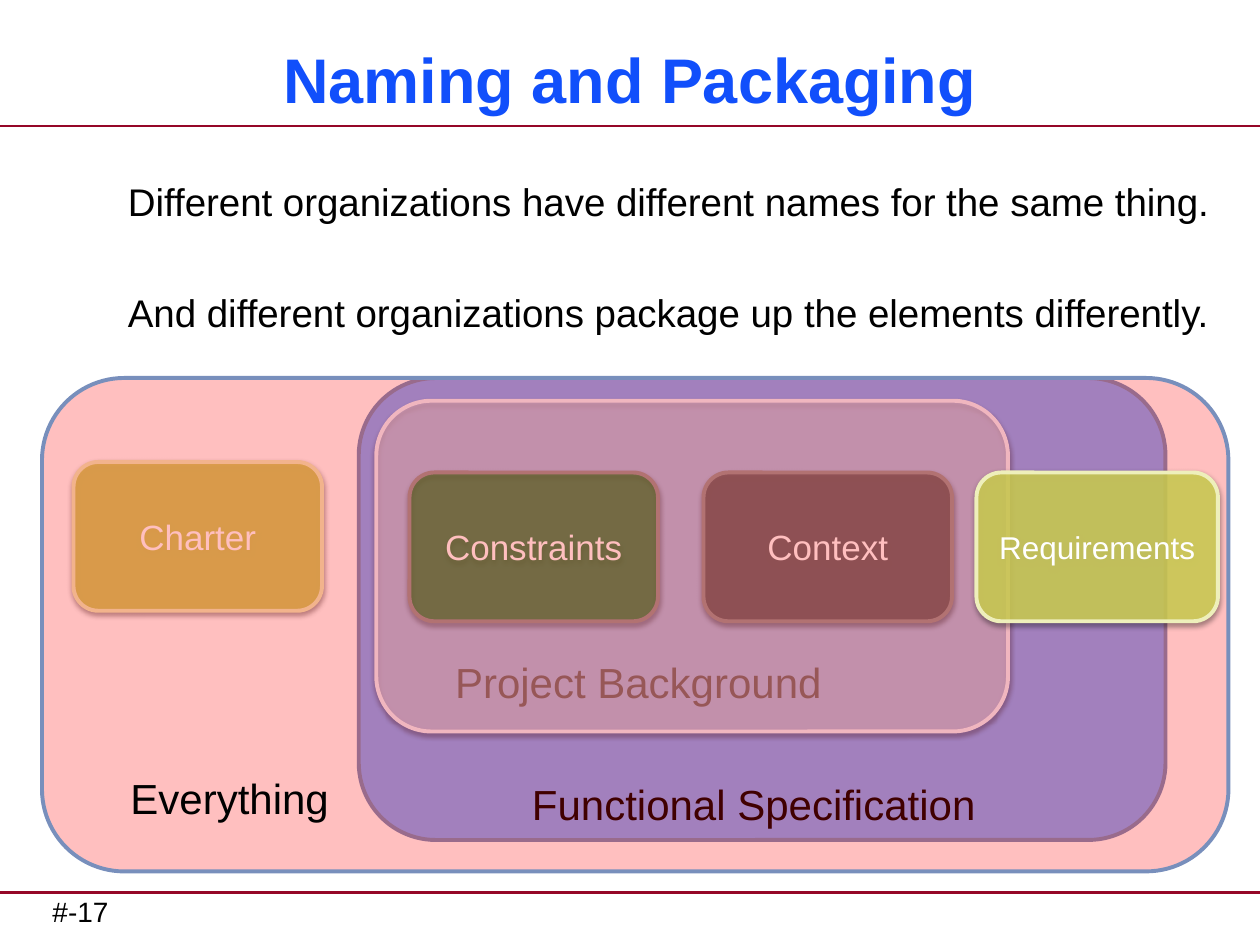
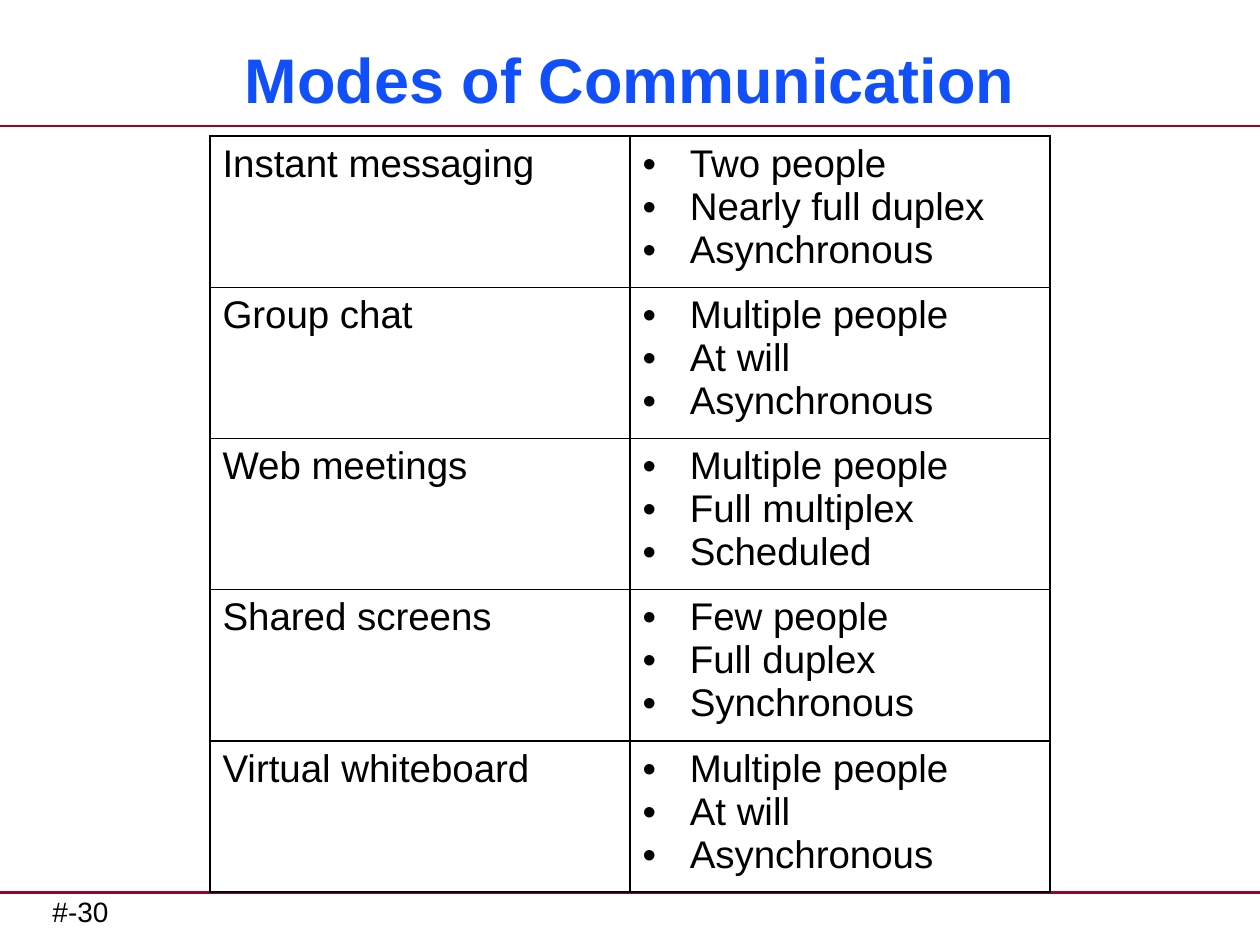
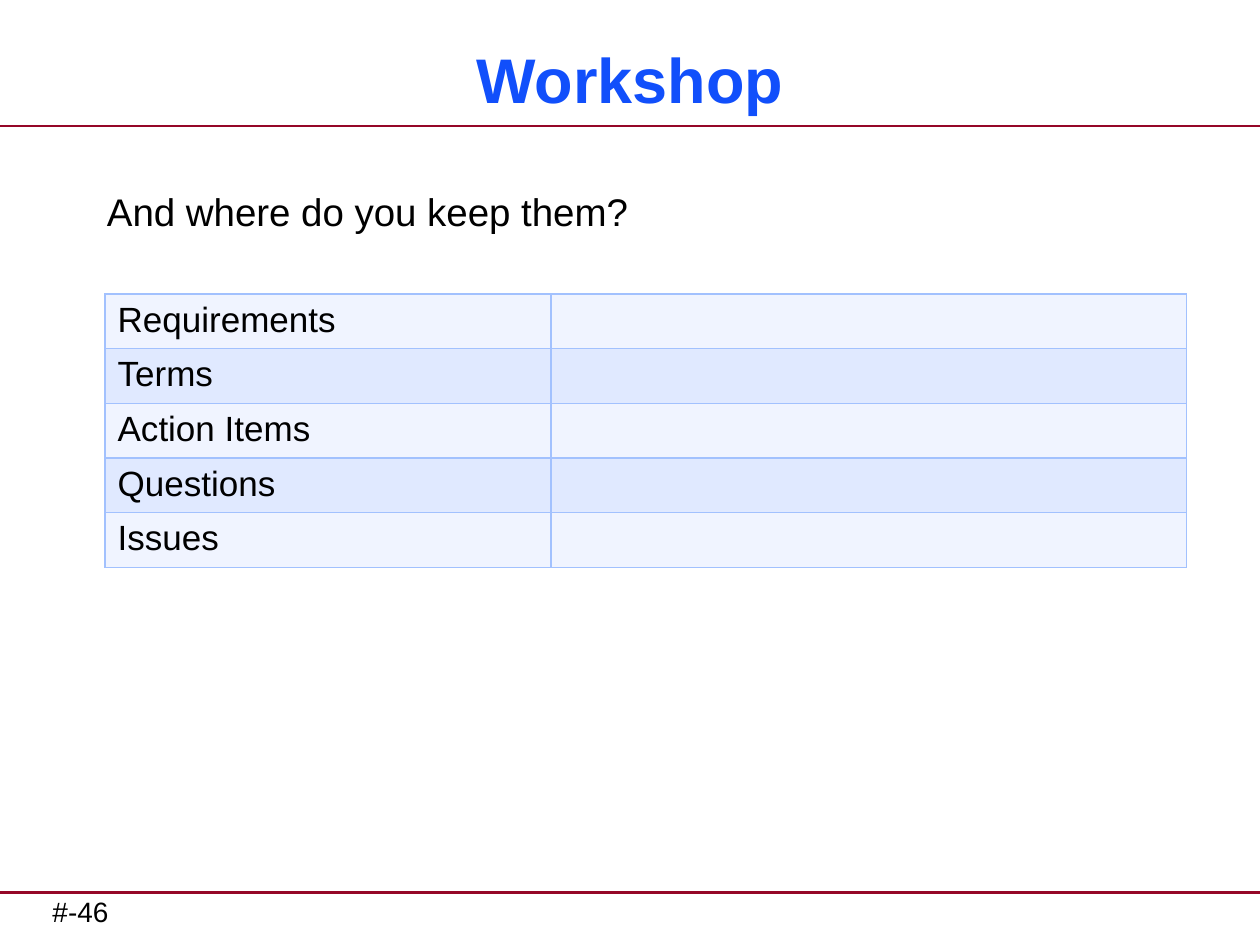
from lxml.etree import SubElement
from pptx import Presentation
from pptx.dml.color import RGBColor
from pptx.enum.shapes import MSO_CONNECTOR, MSO_SHAPE
from pptx.enum.text import MSO_ANCHOR, MSO_AUTO_SIZE, PP_ALIGN
from pptx.oxml import parse_xml
from pptx.oxml.ns import nsdecls, qn
from pptx.util import Pt

FONT = "Arial"
SLIDE_WIDTH, SLIDE_HEIGHT = 720, 540
COLORS = {
    "rule": "950728", "title": "114FFB", "text": "000000", "white": "FFFFFF",
    "blue": "3B7CFD", "blue_line": "788FBC", "pale_line": "ECF3FF",
    "yellow": "D4D654", "yellow_line": "EEEFBB", "gray": "666666",
    "gray_line": "999999", "green": "008000", "red": "FF0000",
    "grid": "A2C1FE", "band_light": "F0F4FF", "band_dark": "E0E9FF",
}
MODES = [
    ("Instant messaging", ["Two people", "Nearly full duplex", "Asynchronous"]),
    ("Group chat", ["Multiple people", "At will", "Asynchronous"]),
    ("Web meetings", ["Multiple people", "Full multiplex", "Scheduled"]),
    ("Shared screens", ["Few people", "Full duplex", "Synchronous"]),
    ("Virtual whiteboard", ["Multiple people", "At will", "Asynchronous"]),
]
WORKSHOP_ITEMS = ["Requirements", "Terms", "Action Items", "Questions", "Issues"]


def rgb(name):
    return RGBColor.from_string(COLORS[name])


def add_run(paragraph, text, size, color="text", bold=False):
    run = paragraph.add_run()
    run.text = text
    run.font.name = FONT
    run.font.size = Pt(size)
    run.font.bold = bold
    run.font.color.rgb = rgb(color)


def add_text(slide, box, lines, size, align=PP_ALIGN.LEFT, gap=0, side_inset=7.2):
    """Add a text box with one paragraph per line, gap points apart."""
    frame = slide.shapes.add_textbox(*map(Pt, box)).text_frame
    frame.word_wrap = True
    frame.margin_left = frame.margin_right = Pt(side_inset)
    for index, line in enumerate(lines):
        paragraph = frame.add_paragraph() if index else frame.paragraphs[0]
        paragraph.alignment = align
        paragraph.space_before = Pt(gap if index else 0)
        add_run(paragraph, line, size)


def add_rule(slide, y):
    rule = slide.shapes.add_connector(MSO_CONNECTOR.STRAIGHT, 0, Pt(y), Pt(SLIDE_WIDTH), Pt(y))
    rule.line.color.rgb = rgb("rule")
    rule.line.width = Pt(1.5)
    SubElement(rule._element.spPr, qn("a:effectLst"))


def add_base_slide(presentation, title, number):
    """Add a slide with the shared title, rules and page number."""
    slide = presentation.slides.add_slide(presentation.slide_layouts[5])
    add_rule(slide, 72)
    add_rule(slide, 510)
    add_text(slide, (30, 507.5, 348, 27), [f"#-{number}"], 16, side_inset=0)

    shape = slide.shapes.title
    shape.left, shape.top, shape.width, shape.height = map(Pt, (12, 18, 696, 54))
    frame = shape.text_frame
    frame.auto_size = MSO_AUTO_SIZE.NONE
    frame.vertical_anchor = MSO_ANCHOR.MIDDLE
    paragraph = frame.paragraphs[0]
    paragraph.alignment = PP_ALIGN.CENTER
    add_run(paragraph, title, 36, "title", bold=True)
    return slide


def add_rounded_box(slide, box, fill, opacity, line, shadow=None, text="", size=20):
    """Add a translucent box; shadow is (opacity percent, distance in points)."""
    shape = slide.shapes.add_shape(MSO_SHAPE.ROUNDED_RECTANGLE, *map(Pt, box))
    shape.fill.solid()
    shape.fill.fore_color.rgb = rgb(fill)
    color = shape._element.spPr.find(qn("a:solidFill"))[0]
    SubElement(color, qn("a:alpha"), val=str(opacity * 1000))
    shape.line.color.rgb = rgb(line)
    shape.line.width = Pt(2.25)
    shape.shadow.inherit = False
    if shadow:
        shadow_opacity, distance = shadow
        effects = shape._element.spPr.find(qn("a:effectLst"))
        effects.append(parse_xml(
            f'<a:outerShdw {nsdecls("a")} blurRad="{Pt(3.1)}" dist="{Pt(distance)}" '
            f'dir="5400000" rotWithShape="0"><a:srgbClr val="{COLORS["text"]}">'
            f'<a:alpha val="{shadow_opacity * 1000}"/></a:srgbClr></a:outerShdw>'))
    if text:
        frame = shape.text_frame
        frame.vertical_anchor = MSO_ANCHOR.MIDDLE
        frame.paragraphs[0].alignment = PP_ALIGN.CENTER
        add_run(frame.paragraphs[0], text, size, "white")


def add_packaging_diagram(slide, left, top, width, height):
    def place(x, y, box_width, box_height):
        return left + x, top + y, box_width, box_height

    soft, strong = (38, 1.6), (35, 1.8)
    element_width, element_height, element_top = 142, 85, 54
    add_rounded_box(slide, place(181, 0, 461, 264), "blue", 63, "blue_line")
    add_text(slide, place(253, 225.5, 307.5, 36), ["Functional Specification"], 24, PP_ALIGN.CENTER)
    add_text(slide, place(187, 155.5, 307.5, 36), ["Project Background"], 24, PP_ALIGN.CENTER)
    add_rounded_box(slide, place(191, 13, 361, 189), "white", 46, "pale_line", soft)
    add_rounded_box(slide, place(18, 48, element_width, element_height),
                    "yellow", 82, "yellow_line", soft, "Charter")
    for x, fill, opacity, text in [(378, "gray", 82, "Context"), (210, "green", 51, "Constraints")]:
        add_rounded_box(slide, place(x, element_top, element_width, element_height),
                        fill, opacity, "gray_line", strong, text)
    add_rounded_box(slide, place(0, 0, width, height), "red", 25, "blue_line")
    add_text(slide, place(43.5, 222, 385, 36), ["Everything"], 24)
    add_rounded_box(slide, place(534, element_top, 138, element_height),
                    "yellow", 82, "yellow_line", soft, "Requirements", 18)


def set_borders(cell, color):
    properties = cell._tc.get_or_add_tcPr()
    for index, side in enumerate(("lnL", "lnR", "lnT", "lnB")):
        properties.insert(index, parse_xml(
            f'<a:{side} {nsdecls("a")} w="{Pt(1)}"><a:solidFill>'
            f'<a:srgbClr val="{COLORS[color]}"/></a:solidFill></a:{side}>'))


def add_grid(slide, left, top, column_widths, row_count, row_height, border, bands=()):
    """Add a bordered table whose rows cycle through bands, or have no fill."""
    frame = slide.shapes.add_table(
        row_count, len(column_widths), Pt(left), Pt(top),
        Pt(sum(column_widths)), Pt(row_height * row_count))
    table = frame.table
    table.first_row = table.horz_banding = False
    for column, width in zip(table.columns, column_widths):
        column.width = Pt(width)
    for index, row in enumerate(table.rows):
        row.height = Pt(row_height)
        for cell in row.cells:
            if bands:
                cell.fill.solid()
                cell.fill.fore_color.rgb = rgb(bands[index % len(bands)])
            else:
                cell.fill.background()
            set_borders(cell, border)
    return table


def add_bullet(paragraph, text, size):
    properties = paragraph._p.get_or_add_pPr()
    properties.set("marL", str(Pt(27)))
    properties.set("indent", str(Pt(-27)))
    SubElement(properties, qn("a:buFont"), typeface=FONT)
    SubElement(properties, qn("a:buChar"), char="•")
    add_run(paragraph, text, size)


def add_modes_table(slide, left, top):
    table = add_grid(slide, left, top, (240, 240), len(MODES), 81, "text")
    for row, (mode, traits) in enumerate(MODES):
        add_run(table.cell(row, 0).text_frame.paragraphs[0], mode, 22)
        frame = table.cell(row, 1).text_frame
        for index, trait in enumerate(traits):
            paragraph = frame.add_paragraph() if index else frame.paragraphs[0]
            add_bullet(paragraph, trait, 22)


def add_workshop_table(slide, left, top):
    table = add_grid(slide, left, top, (255, 363), len(WORKSHOP_ITEMS), 29.5,
                     "grid", ("band_light", "band_dark"))
    for row, item in enumerate(WORKSHOP_ITEMS):
        add_run(table.cell(row, 0).text_frame.paragraphs[0], item, 20)


def main():
    presentation = Presentation()
    presentation.slide_width = Pt(SLIDE_WIDTH)
    presentation.slide_height = Pt(SLIDE_HEIGHT)

    slide = add_base_slide(presentation, "Naming and Packaging", 17)
    add_text(slide, (66, 98, 636, 100), [
        "Different organizations have different names for the same thing.",
        "And different organizations package up the elements differently.",
    ], 22, gap=37)
    add_packaging_diagram(slide, 24, 216, 678, 282)

    slide = add_base_slide(presentation, "Modes of Communication", 30)
    add_modes_table(slide, 120, 77.75)

    slide = add_base_slide(presentation, "Workshop", 46)
    add_text(slide, (54, 104, 636, 40), ["And where do you keep them?"], 22)
    add_workshop_table(slide, 60, 168)

    presentation.save("out.pptx")


if __name__ == "__main__":
    main()
